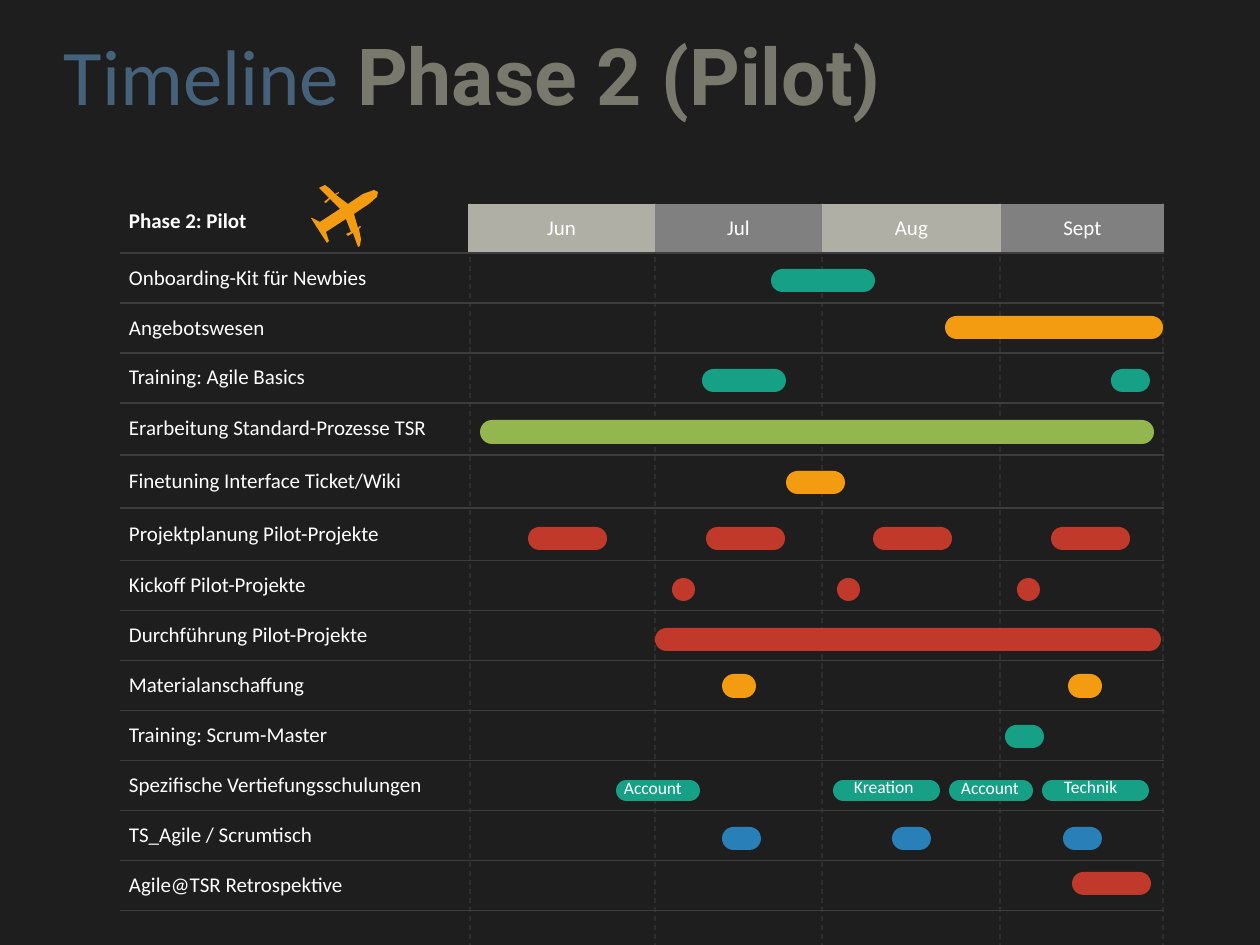
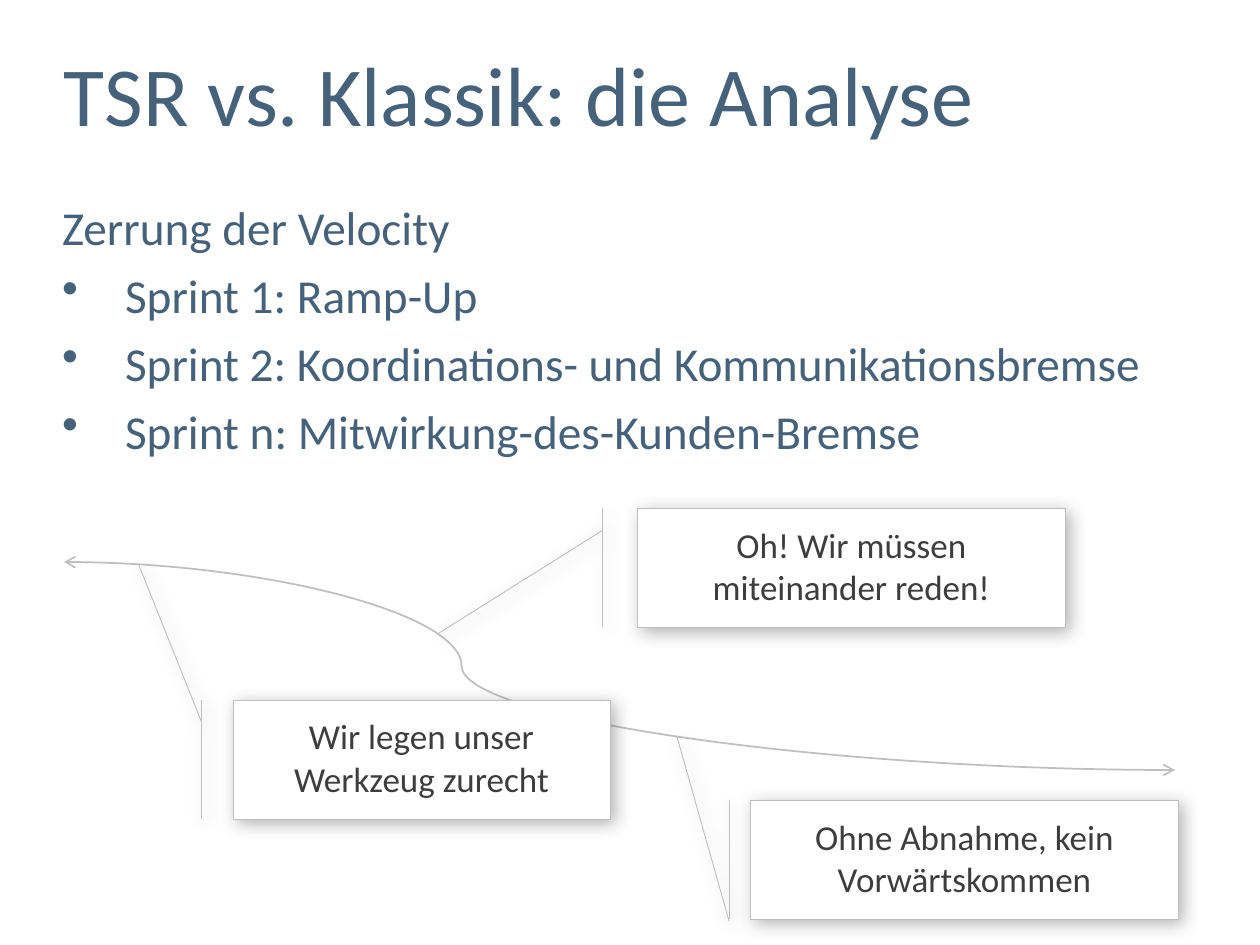
from lxml import etree
from pptx import Presentation
from pptx.dml.color import RGBColor
from pptx.enum.dml import MSO_LINE
from pptx.enum.shapes import MSO_CONNECTOR, MSO_SHAPE
from pptx.enum.text import MSO_ANCHOR, PP_ALIGN
from pptx.oxml.ns import qn
from pptx.util import Emu, Pt

SLIDE_W, SLIDE_H = 1260, 945
PX = 914400 / 126

DARK = RGBColor(0x1E, 0x1E, 0x1E)
WHITE = RGBColor(0xFF, 0xFF, 0xFF)
NAVY = RGBColor(0x46, 0x62, 0x7B)
OLIVE = RGBColor(0x78, 0x78, 0x6C)
RULE = RGBColor(0x3D, 0x3D, 0x3D)
DASH = RGBColor(0x2E, 0x2E, 0x2E)
STONE = RGBColor(0xAF, 0xAF, 0xA6)
GREY = RGBColor(0x80, 0x80, 0x80)
SILVER = RGBColor(0xBF, 0xBF, 0xBF)
TEAL = RGBColor(0x16, 0xA0, 0x85)
ORANGE = RGBColor(0xF3, 0x9C, 0x12)
GREEN = RGBColor(0x94, 0xB6, 0x4E)
RED = RGBColor(0xC0, 0x39, 0x2B)
BLUE = RGBColor(0x29, 0x80, 0xB9)

BODY_FONT = "Calibri"
ACCENT_FONT = "Roboto"

STRAIGHT, CURVE = MSO_CONNECTOR.STRAIGHT, MSO_CONNECTOR.CURVE
PILL = MSO_SHAPE.ROUNDED_RECTANGLE
CALLOUT = MSO_SHAPE.LINE_CALLOUT_1_BORDER_AND_ACCENT_BAR
DASHED = MSO_LINE.DASH
TOP, MIDDLE = MSO_ANCHOR.TOP, MSO_ANCHOR.MIDDLE
LEFT, CENTER = PP_ALIGN.LEFT, PP_ALIGN.CENTER
NO_STYLE = "{2D5ABB26-0587-4C30-8999-92F81FD0307C}"

MONTHS = [("Jun", STONE), ("Jul", GREY), ("Aug", STONE), ("Sept", GREY)]
COLUMN_WIDTHS = [348, 187, 167, 179, 163]
ROW_HEIGHTS = [49, 50, 50, 50, 52, 53, 53] + [50] * 7
TASKS = [
    "Onboarding-Kit für Newbies",
    "Angebotswesen",
    "Training: Agile Basics",
    "Erarbeitung Standard-Prozesse TSR",
    "Finetuning Interface Ticket/Wiki",
    "Projektplanung Pilot-Projekte",
    "Kickoff Pilot-Projekte",
    "Durchführung Pilot-Projekte",
    "Materialanschaffung",
    "Training: Scrum-Master",
    "Spezifische Vertiefungsschulungen",
    "TS_Agile / Scrumtisch",
    "Agile@TSR Retrospektive",
]
BARS = [
    (TEAL, 269, 23, [(771, 104)]),
    (ORANGE, 316, 23, [(945, 218)]),
    (TEAL, 369, 23, [(702, 84), (1111, 39)]),
    (GREEN, 420, 24, [(480, 674)]),
    (ORANGE, 471, 23, [(786, 59)]),
    (RED, 527, 23, [(528, 79), (706, 79), (873, 79), (1051, 79)]),
    (RED, 578, 23, [(672, 23), (837, 23), (1017, 23)]),
    (RED, 628, 23, [(655, 506)]),
    (ORANGE, 674, 24, [(722, 34), (1068, 34)]),
    (TEAL, 725, 23, [(1005, 39)]),
    (TEAL, 780, 21, [(616, 84), (833, 107), (949, 84), (1042, 107)]),
    (BLUE, 827, 23, [(722, 39), (892, 39), (1063, 39)]),
    (RED, 872, 23, [(1072, 79)]),
]
COURSES = [("Account", 612, 771), ("Kreation", 842, 770),
           ("Account", 949, 771), ("Technik", 1052, 770)]
PLANE = [
    (67, 8), (63, 6), (52, 10), (37, 20), (25, 11), (28, 9), (28, 8), (24, 10),
    (18, 4), (14, 1), (10, 3), (8, 4), (18, 14), (13, 18), (15, 19), (19, 15),
    (29, 25), (9, 38), (1, 34), (0, 34), (5, 42), (16, 59), (18, 57), (15, 48),
    (35, 35), (40, 48), (35, 50), (37, 52), (42, 49), (47, 63), (49, 62),
    (50, 55), (48, 45), (50, 43), (49, 42), (47, 44), (43, 30), (58, 20), (66, 13),
]
SPRINTS = [
    "Sprint 1: Ramp-Up",
    "Sprint 2: Koordinations- und Kommunikationsbremse",
    "Sprint n: Mitwirkung-des-Kunden-Bremse",
]
REMARKS = [
    ("Wir legen unser Werkzeug zurecht", 233, 700, 377, (0.188, -0.083, -1.145, -0.251)),
    ("Oh! Wir müssen miteinander reden!", 638, 508, 427, (0.188, -0.083, 1.06, -0.47)),
    ("Ohne Abnahme, kein Vorwärtskommen", 751, 800, 427, (1.02, -0.051, -0.541, -0.174)),
]


def px(length):
    return Emu(round(length * PX))


def box(*lengths):
    return [px(length) for length in lengths]


def add_xml(parent, tag, **attributes):
    return etree.SubElement(parent, qn(tag), attributes)


def add_slide(deck, background):
    slide = deck.slides.add_slide(deck.slide_layouts[6])
    slide.background.fill.solid()
    slide.background.fill.fore_color.rgb = background
    return slide


def set_font(font, size, color, bold=False, name=BODY_FONT):
    font.name, font.size, font.bold = name, Pt(size), bold
    font.color.rgb = color


def set_margins(frame, horizontal, vertical):
    frame.margin_left = frame.margin_right = px(horizontal)
    frame.margin_top = frame.margin_bottom = px(vertical)


def add_text_frame(slide, bounds, margins=(0, 0), anchor=TOP):
    frame = slide.shapes.add_textbox(*box(*bounds)).text_frame
    frame.word_wrap = True
    frame.vertical_anchor = anchor
    set_margins(frame, *margins)
    return frame


def add_title(slide, top, size, *parts):
    paragraph = add_text_frame(slide, (64, top, 1130, 84), anchor=MIDDLE).paragraphs[0]
    paragraph.line_spacing = Pt(45)
    for text, name, color, bold in parts:
        run = paragraph.add_run()
        run.text = text
        set_font(run.font, size, color, bold, name)


def add_line(slide, kind, ends, color, width):
    line = slide.shapes.add_connector(kind, *box(*ends))
    line.line.color.rgb = color
    line.line.width = Pt(width)
    add_xml(line._element.spPr, "a:effectLst")
    return line


def paint(shape, color):
    shape.shadow.inherit = False
    shape.fill.solid()
    shape.fill.fore_color.rgb = color
    shape.line.fill.background()


def add_bar(slide, color, left, top, width, height):
    bar = slide.shapes.add_shape(PILL, *box(left, top, width, height))
    bar.adjustments[0] = 0.5
    paint(bar, color)


def fill_cell(cell, text="", color=None, bold=False, align=LEFT, anchor=MIDDLE):
    cell.margin_left = cell.margin_right = px(9)
    cell.margin_top = cell.margin_bottom = px(5)
    cell.vertical_anchor = anchor
    if color is None:
        cell.fill.background()
    else:
        cell.fill.solid()
        cell.fill.fore_color.rgb = color
    cell.text = text
    paragraph = cell.text_frame.paragraphs[0]
    paragraph.alignment = align
    set_font(paragraph.font, 12, WHITE, bold)
    properties = cell._tc.get_or_add_tcPr()
    border = add_xml(properties, "a:lnB", w=str(Pt(1)))
    add_xml(add_xml(border, "a:solidFill"), "a:srgbClr", val=str(RULE))
    properties.insert(0, border)


def add_schedule(slide):
    bounds = box(120, 204, sum(COLUMN_WIDTHS), sum(ROW_HEIGHTS))
    table = slide.shapes.add_table(len(ROW_HEIGHTS), len(COLUMN_WIDTHS), *bounds).table
    table.first_row = table.horz_banding = False
    table._tbl.tblPr.find(qn("a:tableStyleId")).text = NO_STYLE
    for column, width in zip(table.columns, COLUMN_WIDTHS):
        column.width = px(width)
    for row, height in zip(table.rows, ROW_HEIGHTS):
        row.height = px(height)
    fill_cell(table.cell(0, 0), "Phase 2: Pilot", bold=True, anchor=TOP)
    for column, (month, color) in enumerate(MONTHS, 1):
        fill_cell(table.cell(0, column), month, color, align=CENTER)
    for row, task in enumerate(TASKS, 1):
        fill_cell(table.cell(row, 0), task)
        for column in range(1, len(COLUMN_WIDTHS)):
            fill_cell(table.cell(row, column))


def add_plane(slide, left, top):
    outline = slide.shapes.build_freeform(*PLANE[0], scale=PX)
    outline.add_line_segments(PLANE[1:], close=True)
    paint(outline.convert_to_shape(px(left), px(top)), ORANGE)


def add_course(slide, name, left, top):
    paragraph = add_text_frame(slide, (left, top, 90, 34), (12, 6)).paragraphs[0]
    paragraph.text = name
    set_font(paragraph.font, 10, WHITE)


def add_sprints(slide):
    frame = add_text_frame(slide, (62, 198, 1126, 277))
    for number, text in enumerate(["Zerrung der Velocity"] + SPRINTS):
        paragraph = frame.add_paragraph() if number else frame.paragraphs[0]
        paragraph.text = text
        if number:
            paragraph.space_before = Pt(6.5)
            properties = paragraph._p.get_or_add_pPr()
            properties.set("marL", str(px(63)))
            properties.set("indent", str(px(-63)))
            add_xml(properties, "a:buChar", char="•")
        set_font(paragraph.font, 27, NAVY)


def add_velocity_curve(slide):
    curve = add_line(slide, CURVE, (64, 562, 1175, 770), SILVER, 1)
    geometry = curve._element.spPr.find(qn("a:prstGeom"))
    guides = geometry.find(qn("a:avLst"))
    if guides is None:
        guides = add_xml(geometry, "a:avLst")
    add_xml(guides, "a:gd", name="adj1", fmla="val 35800")
    stroke = curve.line._get_or_add_ln()
    for end in ("a:headEnd", "a:tailEnd"):
        add_xml(stroke, end, type="arrow")


def add_remark(slide, text, left, top, width, pointer):
    remark = slide.shapes.add_shape(CALLOUT, *box(left, top, width, 119))
    for index, value in enumerate(pointer):
        remark.adjustments[index] = value
    paint(remark, WHITE)
    remark.line.color.rgb = SILVER
    remark.line.width = Pt(0.5)
    effects = remark._element.spPr.find(qn("a:effectLst"))
    shadow = add_xml(effects, "a:outerShdw", blurRad=str(Pt(10)), dist=str(Pt(3)),
                     dir="2700000", algn="tl", rotWithShape="0")
    add_xml(add_xml(shadow, "a:srgbClr", val=str(RULE)), "a:alpha", val="40000")
    frame = remark.text_frame
    frame.word_wrap = True
    frame.vertical_anchor = TOP
    set_margins(frame, 25, 15)
    paragraph = frame.paragraphs[0]
    paragraph.text = text
    paragraph.alignment = CENTER
    set_font(paragraph.font, 20, RULE)


def build_timeline(deck):
    slide = add_slide(deck, DARK)
    for x in (1163, 1000, 822, 655, 470):
        add_line(slide, STRAIGHT, (x, 203, x, SLIDE_H), DASH, 0.75).line.dash_style = DASHED
    add_title(slide, 40, 45, ("Timeline ", BODY_FONT, NAVY, False),
              ("Phase 2 (Pilot)", ACCENT_FONT, OLIVE, True))
    add_schedule(slide)
    add_plane(slide, 311, 184)
    for color, top, height, spans in BARS:
        for left, width in spans:
            add_bar(slide, color, left, top, width, height)
    for course in COURSES:
        add_course(slide, *course)


def build_analysis(deck):
    slide = add_slide(deck, WHITE)
    add_title(slide, 62, 48, ("TSR vs. Klassik: die Analyse", BODY_FONT, NAVY, False))
    add_sprints(slide)
    add_velocity_curve(slide)
    for remark in REMARKS:
        add_remark(slide, *remark)


def main():
    deck = Presentation()
    deck.slide_width, deck.slide_height = box(SLIDE_W, SLIDE_H)
    build_timeline(deck)
    build_analysis(deck)
    deck.save("out.pptx")


if __name__ == "__main__":
    main()
